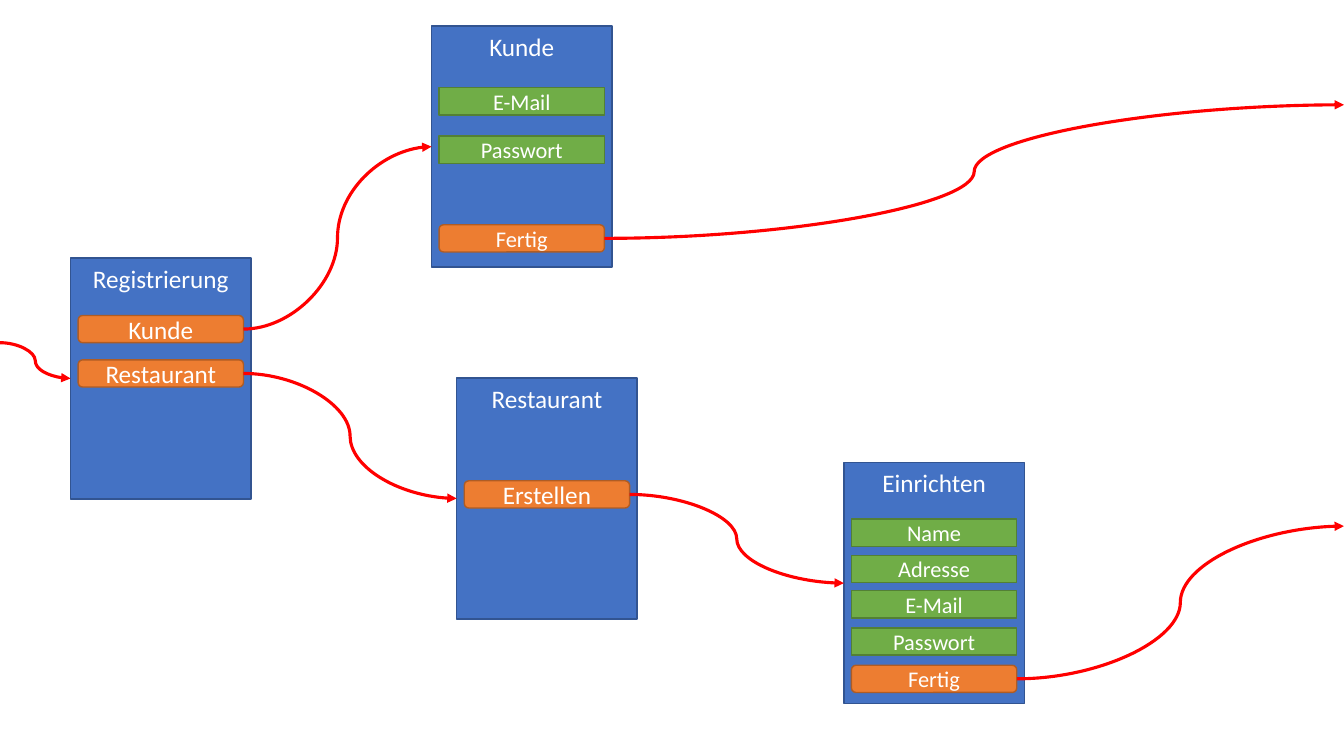
"""Build the registration flow slide with its screens, fields, buttons and arrows."""
from dataclasses import dataclass

import lxml.etree
import pptx
import pptx.dml.color
import pptx.enum.shapes
import pptx.enum.text
import pptx.oxml.ns
import pptx.presentation
import pptx.shapes.autoshape
import pptx.slide
import pptx.util

COLORS = {
    "screen": "4472C4", "screen_line": "325491",
    "button": "ED7D31", "button_line": "AF5C24",
    "field": "70AD47", "field_line": "538035",
    "text": "FFFFFF", "arrow": "FF0000",
}
SHAPE_TYPE = pptx.enum.shapes.MSO_SHAPE
GEOMETRY = {
    "screen": SHAPE_TYPE.RECTANGLE,
    "button": SHAPE_TYPE.ROUNDED_RECTANGLE,
    "field": SHAPE_TYPE.RECTANGLE,
}
SLIDE_WIDTH, SLIDE_HEIGHT = 13.33, 7.5
SCREEN_WIDTH, SCREEN_HEIGHT = 1.79, 2.39
ITEM_WIDTH, ITEM_HEIGHT = 1.64, 0.27
ITEM_INDENT = (SCREEN_WIDTH - ITEM_WIDTH) / 2
LEFT_SIDE, RIGHT_SIDE = 1, 3


@dataclass(frozen=True)
class Item:
    kind: str
    label: str
    top: float
    size: int = 16


@dataclass(frozen=True)
class Screen:
    title: str
    left: float
    top: float
    items: tuple[Item, ...]


@dataclass(frozen=True)
class Arrow:
    start: tuple[float, float]
    end: tuple[float, float]
    source: tuple[str, str] | None = None
    target: str | None = None


SCREENS = (
    Screen("Registrierung", 0.7, 2.56, (
        Item("button", "Kunde", 3.13, 18),
        Item("button", "Restaurant", 3.57, 18),
    )),
    Screen("Restaurant", 4.53, 3.75, (Item("button", "Erstellen", 4.77, 18),)),
    Screen("Einrichten", 8.37, 4.59, (
        Item("field", "Name", 5.15),
        Item("field", "Adresse", 5.51),
        Item("field", "E-Mail", 5.86),
        Item("field", "Passwort", 6.23),
        Item("button", "Fertig", 6.6),
    )),
    Screen("Kunde", 4.28, 0.26, (
        Item("field", "E-Mail", 0.87),
        Item("field", "Passwort", 1.35),
        Item("button", "Fertig", 2.23),
    )),
)
ARROWS = (
    Arrow((0, 3.4), (0.7, 3.75), None, "Registrierung"),
    Arrow((2.41, 3.26), (4.28, 1.45), ("Registrierung", "Kunde"), "Kunde"),
    Arrow((2.41, 3.71), (4.53, 4.94), ("Registrierung", "Restaurant"), "Restaurant"),
    Arrow((6.25, 4.9), (8.37, 5.78), ("Restaurant", "Erstellen"), "Einrichten"),
    Arrow((5.99, 2.36), (SLIDE_WIDTH, 1.04), ("Kunde", "Fertig")),
    Arrow((10.09, 6.74), (SLIDE_WIDTH, 5.22), ("Einrichten", "Fertig")),
)


def rgb(name: str) -> pptx.dml.color.RGBColor:
    return pptx.dml.color.RGBColor.from_string(COLORS[name])


def add_box(slide: pptx.slide.Slide, kind: str, label: str, left: float, top: float,
            width: float, height: float, size: int) -> pptx.shapes.autoshape.Shape:
    shape = slide.shapes.add_shape(
        GEOMETRY[kind], *map(pptx.util.Inches, (left, top, width, height)))
    shape.shadow.inherit = False
    shape.fill.solid()
    shape.fill.fore_color.rgb = rgb(kind)
    shape.line.color.rgb = rgb(f"{kind}_line")
    shape.line.width = pptx.util.Pt(1)
    anchor = pptx.enum.text.MSO_ANCHOR
    shape.text_frame.text = label
    shape.text_frame.vertical_anchor = anchor.TOP if kind == "screen" else anchor.MIDDLE
    paragraph = shape.text_frame.paragraphs[0]
    paragraph.alignment = pptx.enum.text.PP_ALIGN.CENTER
    font = paragraph.runs[0].font
    font.name = "Calibri"
    font.size = pptx.util.Pt(size)
    font.color.rgb = rgb("text")
    return shape


def add_arrow(slide: pptx.slide.Slide, arrow: Arrow,
              screens: dict[str, pptx.shapes.autoshape.Shape],
              items: dict[tuple[str, str], pptx.shapes.autoshape.Shape]) -> None:
    connector = slide.shapes.add_connector(
        pptx.enum.shapes.MSO_CONNECTOR.CURVE,
        *map(pptx.util.Inches, (*arrow.start, *arrow.end)))
    if arrow.source:
        connector.begin_connect(items[arrow.source], RIGHT_SIDE)
    if arrow.target:
        connector.end_connect(screens[arrow.target], LEFT_SIDE)
    connector.line.color.rgb = rgb("arrow")
    connector.line.width = pptx.util.Pt(2.25)
    qn = pptx.oxml.ns.qn
    properties = connector.element.spPr
    lxml.etree.SubElement(properties.find(qn("a:ln")), qn("a:tailEnd"), type="triangle")
    lxml.etree.SubElement(properties, qn("a:effectLst"))


def main() -> None:
    presentation = pptx.Presentation()
    presentation.slide_width = pptx.util.Inches(SLIDE_WIDTH)
    presentation.slide_height = pptx.util.Inches(SLIDE_HEIGHT)
    slide = presentation.slides.add_slide(presentation.slide_layouts[6])
    screens: dict[str, pptx.shapes.autoshape.Shape] = {}
    items: dict[tuple[str, str], pptx.shapes.autoshape.Shape] = {}
    for screen in SCREENS:
        screens[screen.title] = add_box(
            slide, "screen", screen.title, screen.left, screen.top,
            SCREEN_WIDTH, SCREEN_HEIGHT, 18)
        for item in screen.items:
            items[screen.title, item.label] = add_box(
                slide, item.kind, item.label, screen.left + ITEM_INDENT, item.top,
                ITEM_WIDTH, ITEM_HEIGHT, item.size)
    for arrow in ARROWS:
        add_arrow(slide, arrow, screens, items)
    presentation.save("out.pptx")


if __name__ == "__main__":
    main()
